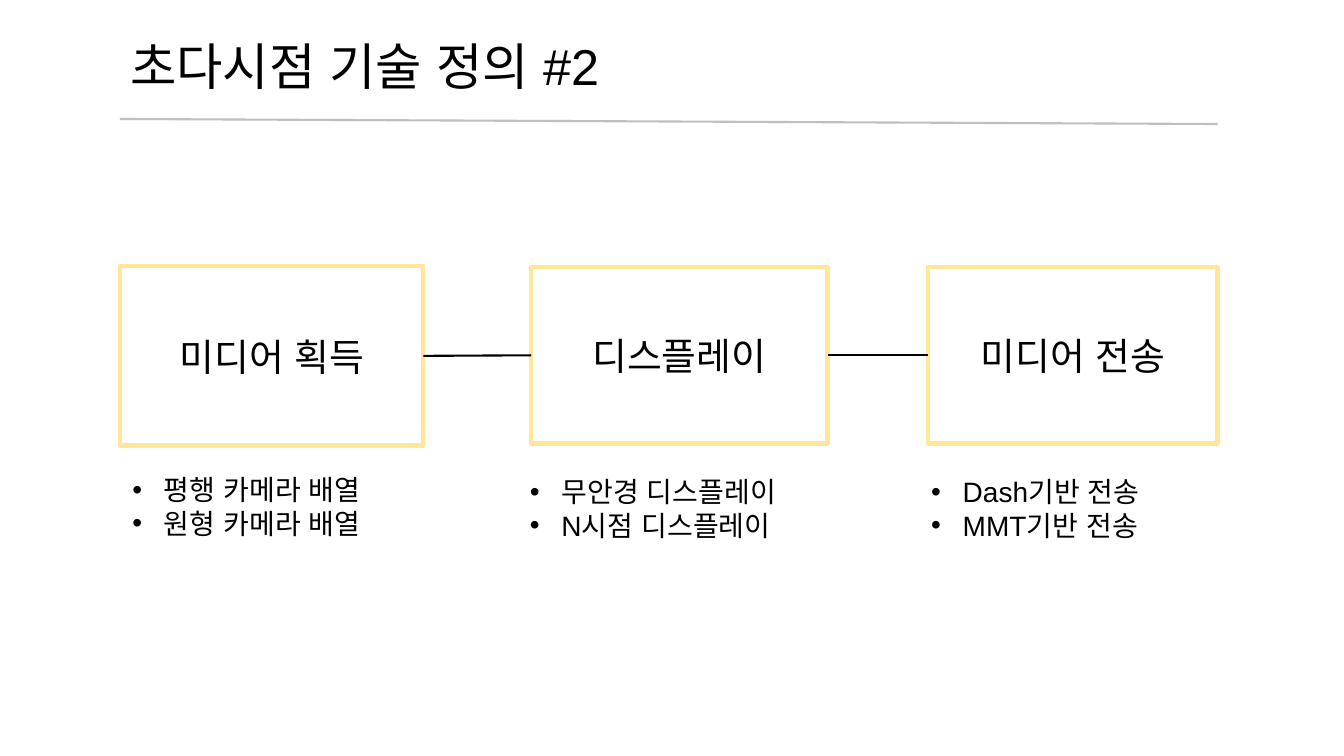
from lxml import etree
from pptx import Presentation
from pptx.dml.color import RGBColor
from pptx.enum import shapes, text
from pptx.oxml import ns
from pptx.util import Pt

TITLE = "초다시점 기술 정의 #2"
LEFT, MID = text.PP_ALIGN.LEFT, text.PP_ALIGN.CENTER
# name, box (left, top, width, height), list (left, top, width), list alignment, items
STAGES = [
    ("미디어 획득", (85.7, 190.1, 216.7, 128.2), (67, 334.1, 218.2), MID,
     ["평행 카메라 배열", "원형 카메라 배열"]),
    ("디스플레이", (379.4, 190.8, 211.7, 126), (371.5, 335.5, 225.4), LEFT,
     ["무안경 디스플레이", "N시점 디스플레이"]),
    ("미디어 전송", (663.1, 190.8, 206.6, 126), (658.1, 335.5, 195.1), LEFT,
     ["Dash기반 전송", "MMT기반 전송"]),
]
LIST_H = 63.7
INDENT = 22.5
WHITE = RGBColor(255, 255, 255)
BLACK = RGBColor(0, 0, 0)
GOLD = RGBColor(0xFF, 0xE6, 0x99)
GREY = RGBColor(0xBF, 0xBF, 0xBF)


def style(para, size, align):
    para.alignment = align
    for run in para.runs:
        font = run.font
        font.size, font.name = Pt(size), "Arial"
        font.color.rgb = BLACK
        for tag in ("a:ea", "a:cs"):
            etree.SubElement(run._r.rPr, ns.qn(tag), typeface="Arial")


def bullet(para):
    props = para._p.get_or_add_pPr()
    props.set("marL", str(Pt(INDENT)))
    props.set("indent", str(-Pt(INDENT)))
    etree.SubElement(props, ns.qn("a:buFont"), typeface="Arial")
    etree.SubElement(props, ns.qn("a:buChar"), char="•")


def add_line(slide, start, end, color):
    line = slide.shapes.add_connector(
        shapes.MSO_CONNECTOR.STRAIGHT, *map(Pt, start + end))
    line.line.color.rgb = color
    line.line.width = Pt(1.5)
    etree.SubElement(line._element.spPr, ns.qn("a:effectLst"))


def add_box(slide, name, place):
    box = slide.shapes.add_shape(shapes.MSO_SHAPE.RECTANGLE, *map(Pt, place))
    box.shadow.inherit = False
    box.fill.solid()
    box.fill.fore_color.rgb = WHITE
    box.line.color.rgb = GOLD
    box.line.width = Pt(3)
    frame = box.text_frame
    frame.text = name
    frame.vertical_anchor = text.MSO_ANCHOR.MIDDLE
    style(frame.paragraphs[0], 27, MID)


def add_list(slide, items, place, align):
    frame = slide.shapes.add_textbox(*map(Pt, place + (LIST_H,))).text_frame
    frame.word_wrap = False
    frame.auto_size = text.MSO_AUTO_SIZE.SHAPE_TO_FIT_TEXT
    frame.text = "\n".join(items)
    for para in frame.paragraphs:
        bullet(para)
        style(para, 20, align)


def main():
    deck = Presentation()
    deck.slide_width, deck.slide_height = Pt(960), Pt(540)
    slide = deck.slides.add_slide(deck.slide_layouts[5])

    title = slide.shapes.title
    title.left, title.top, title.width, title.height = map(
        Pt, (85.7, 8.6, 647.3, 81.4))
    title.text_frame.text = TITLE
    title.text_frame.vertical_anchor = text.MSO_ANCHOR.MIDDLE
    heading = title.text_frame.paragraphs[0]
    heading.line_spacing = 0.9
    style(heading, 36, LEFT)
    add_line(slide, (85.7, 85), (869.8, 88.6), GREY)

    for name, box, spot, align, items in STAGES:
        add_box(slide, name, box)
        add_list(slide, items, spot, align)

    boxes = [stage[1] for stage in STAGES]
    for a, b in zip(boxes, boxes[1:]):
        add_line(slide, (a[0] + a[2], a[1] + a[3] / 2),
                 (b[0], b[1] + b[3] / 2), BLACK)
    deck.save("out.pptx")


if __name__ == "__main__":
    main()
